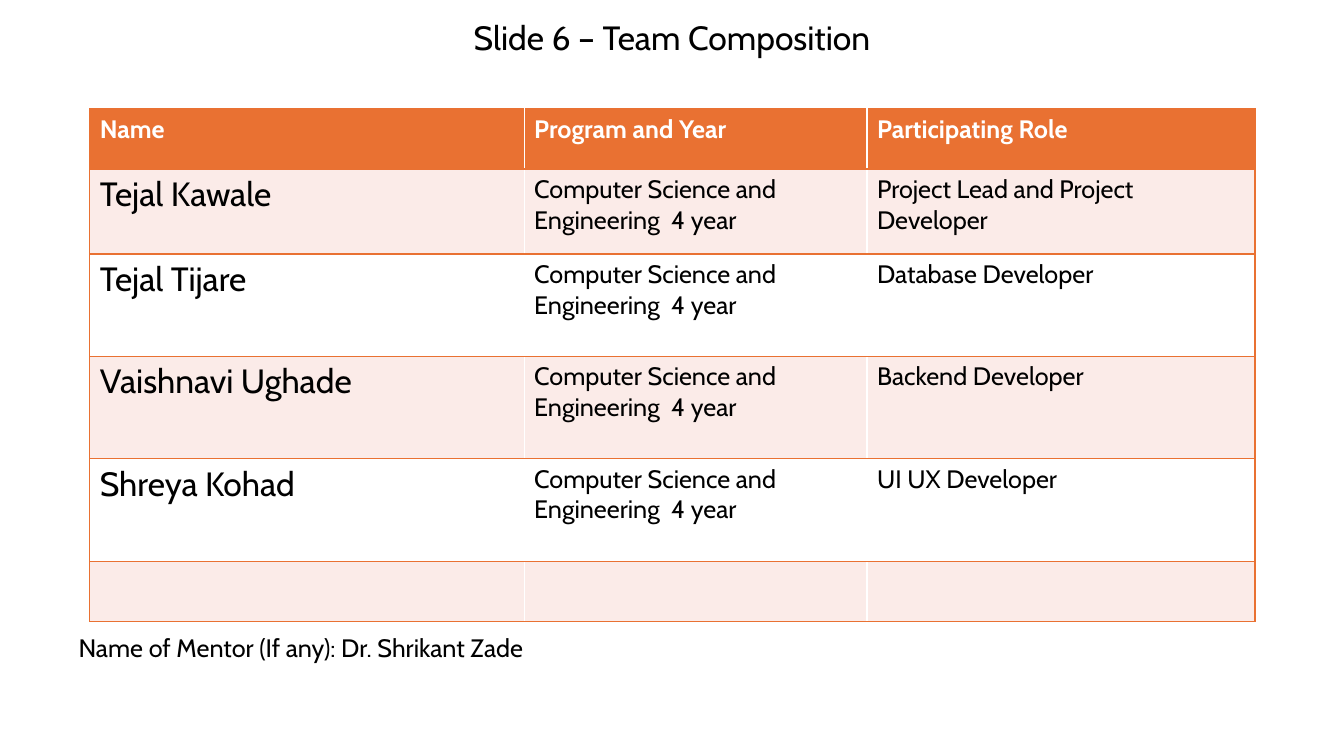
from dataclasses import dataclass

from lxml.etree import SubElement
from pptx import Presentation
from pptx.dml.color import RGBColor
from pptx.enum.text import MSO_ANCHOR as Anchor, MSO_AUTO_SIZE as AutoSize, PP_ALIGN as Align
from pptx.oxml.ns import qn
from pptx.util import Cm, Pt


@dataclass(frozen=True)
class Theme:
    font: str = "Cabin"
    accent: str = "E97132"
    band: str = "FBEBE8"
    white: str = "FFFFFF"
    black: str = "000000"
    large: int = 24
    regular: int = 18


THEME = Theme()
PROGRAM = "Computer Science and Engineering  4 year"
HEADINGS = ("Name", "Program and Year", "Participating Role")
MEMBERS = (
    ("Tejal Kawale", "Project Lead and Project Developer"),
    ("Tejal Tijare", "Database Developer"),
    ("Vaishnavi Ughade", "Backend Developer"),
    ("Shreya Kohad", "UI UX Developer"),
)
COLUMN_WIDTHS = (10.95, 8.64, 9.78)
ROW_HEIGHTS = (1.52, 2.14, 2.58, 2.58, 2.58, 1.52)


def write(text_frame, text, size, color=THEME.black, bold=False, align=None):
    text_frame.text = text
    paragraph = text_frame.paragraphs[0]
    paragraph.alignment = align
    for run in paragraph.runs:
        run.font.name = THEME.font
        run.font.size = Pt(size)
        run.font.bold = bold
        run.font.color.rgb = RGBColor.from_string(color)


def place(shape, left, top, width, height):
    shape.left, shape.top = Cm(left), Cm(top)
    shape.width, shape.height = Cm(width), Cm(height)


def add_title(slide, text):
    title = slide.shapes.title
    place(title, 0, 0, 33.87, 1.85)
    title.text_frame.auto_size = AutoSize.NONE
    title.text_frame.vertical_anchor = Anchor.MIDDLE
    write(title.text_frame, text, THEME.large, align=Align.CENTER)


def set_borders(cell, sides):
    properties = cell._tc.get_or_add_tcPr()
    for side in sides:
        line = SubElement(properties, qn(f"a:ln{side}"), w=str(Pt(1)))
        fill = SubElement(line, qn("a:solidFill"))
        SubElement(fill, qn("a:srgbClr"), val=THEME.accent)


def style_cell(cell, row, column):
    # Outer sides and every horizontal line, but no inner verticals
    sides = {0: "LTB", len(HEADINGS) - 1: "RTB"}.get(column, "TB")
    set_borders(cell, sides)
    color = THEME.accent if row == 0 else THEME.band if row % 2 else THEME.white
    cell.fill.solid()
    cell.fill.fore_color.rgb = RGBColor.from_string(color)


def add_team_table(slide):
    members = [(name, PROGRAM, role) for name, role in MEMBERS]
    rows = [HEADINGS, *members, ("",) * len(HEADINGS)]
    table = slide.shapes.add_table(
        len(rows), len(HEADINGS), Cm(2.26), Cm(2.74),
        Cm(sum(COLUMN_WIDTHS)), Cm(sum(ROW_HEIGHTS))).table
    for column, width in zip(table.columns, COLUMN_WIDTHS):
        column.width = Cm(width)
    for row, height in zip(table.rows, ROW_HEIGHTS):
        row.height = Cm(height)

    for row, texts in enumerate(rows):
        for column, text in enumerate(texts):
            cell = table.cell(row, column)
            style_cell(cell, row, column)
            header = row == 0
            size = THEME.large if column == 0 and text and not header else THEME.regular
            write(cell.text_frame, text, size,
                  THEME.white if header else THEME.black, bold=header)


def add_mentor(slide, text):
    box = slide.shapes.add_textbox(Cm(1.73), Cm(15.8), Cm(19.4), Cm(1.02))
    box.text_frame.word_wrap = True
    box.text_frame.auto_size = AutoSize.SHAPE_TO_FIT_TEXT
    write(box.text_frame, text, THEME.regular)


def main():
    presentation = Presentation()
    presentation.slide_width, presentation.slide_height = Cm(33.87), Cm(19.05)
    title_only = presentation.slide_layouts[5]
    slide = presentation.slides.add_slide(title_only)

    # Heading, team and mentor
    add_title(slide, "Slide 6 – Team Composition")
    add_team_table(slide)
    add_mentor(slide, "Name of Mentor (If any): Dr. Shrikant Zade")
    presentation.save("out.pptx")


if __name__ == "__main__":
    main()
